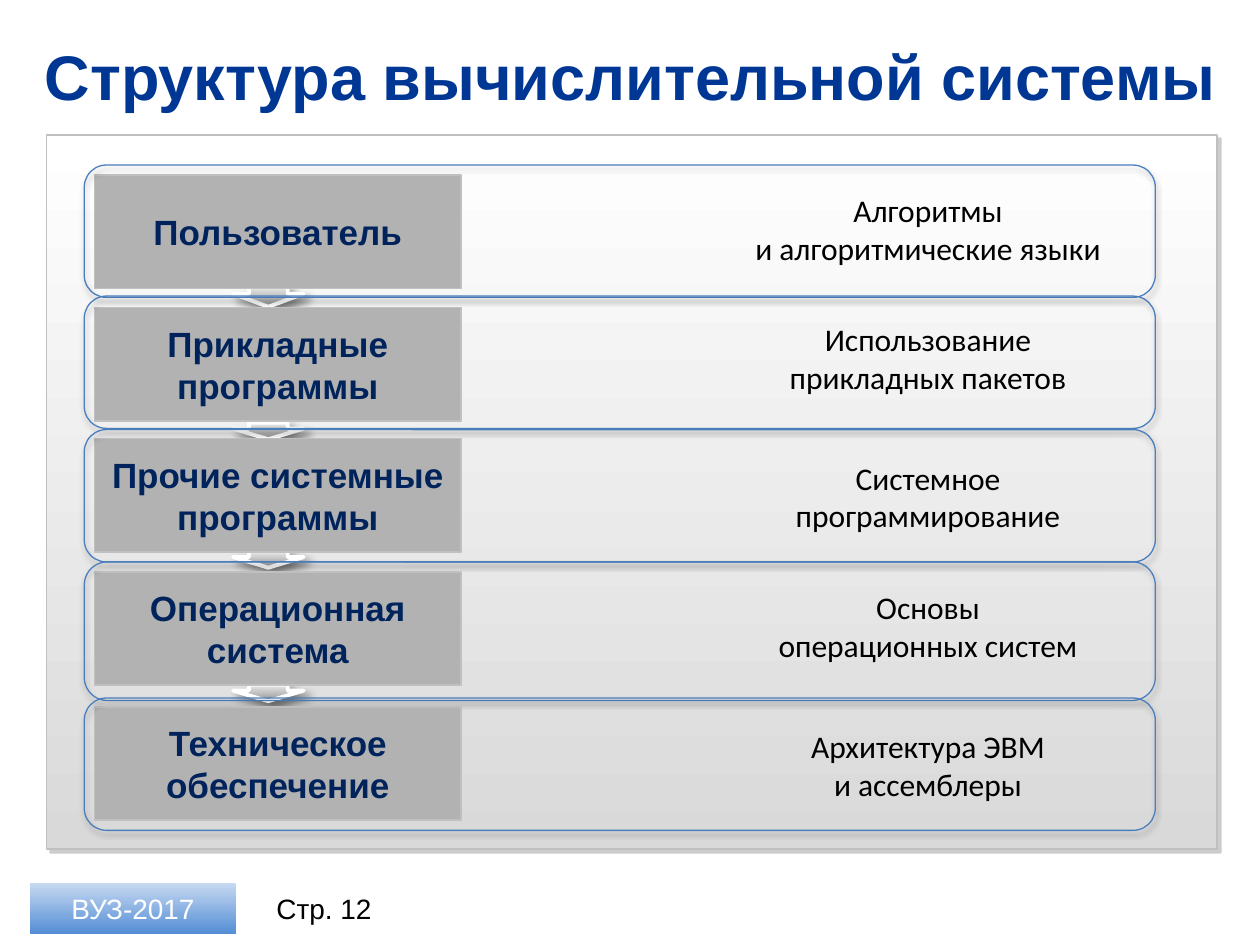
from lxml import etree
from pptx import Presentation
from pptx.dml.color import RGBColor
from pptx.enum import shapes, text
from pptx.oxml import ns
from pptx.util import Pt

WHITE = RGBColor(0xFF, 0xFF, 0xFF)
BLACK = RGBColor(0, 0, 0)
TITLE_BLUE = RGBColor(0x00, 0x37, 0x94)
NAVY = RGBColor(0x00, 0x23, 0x5C)
FRAME_BLUE = RGBColor(0x4B, 0x7E, 0xBC)
BADGE_DARK = RGBColor(0x55, 0x8E, 0xD5)
BADGE_LIGHT = RGBColor(0xC6, 0xD9, 0xF1)
BOX_GRAY = RGBColor(0xB2, 0xB2, 0xB2)
EDGE_GRAY = RGBColor(0xC0, 0xC0, 0xC0)
PANEL_GRAY = RGBColor(0xD9, 0xD9, 0xD9)
SHADOW_GRAY = RGBColor(0x80, 0x80, 0x80)
ARROW_LIGHT = RGBColor(0xEA, 0xEA, 0xEA)
ARROW_DARK = RGBColor(0x96, 0x96, 0x96)

# name, caption, then tops of the frame, name box and caption, frame height
LEVELS = [
    ("Пользователь", "Алгоритмы\nи алгоритмические языки",
     94.3, 100.1, 105.8, 75.6),
    ("Прикладные программы", "Использование\nприкладных пакетов",
     169.2, 175.7, 179.3, 75.6),
    ("Прочие системные программы", "Системное\nпрограммирование",
     245.5, 250.6, 258.5, 75.6),
    ("Операционная система", "Основы\nоперационных систем",
     321.1, 326.9, 332.6, 79.2),
    ("Техническое обеспечение", "Архитектура ЭВМ\nи ассемблеры",
     398.9, 403.9, 411.8, 75.6),
]
# top and height of the arrows between levels
ARROWS = [(163.8, 11.5), (241.6, 9.4), (315, 9.4), (391.3, 9.4)]


def write(shape, words, size, color, font="Arial", bold=False, inset=0,
          anchor=text.MSO_ANCHOR.MIDDLE):
    frame = shape.text_frame
    frame.word_wrap = True
    frame.vertical_anchor = anchor
    frame.margin_left = frame.margin_right = Pt(2 * inset)
    frame.margin_top = frame.margin_bottom = Pt(inset)
    para = frame.paragraphs[0]
    para.text = words
    para.alignment = text.PP_ALIGN.CENTER
    for span in para.runs:
        span.font.name = font
        span.font.size = Pt(size)
        span.font.bold = bold
        span.font.color.rgb = color


def add_text(page, bounds, words, **style):
    box = page.shapes.add_textbox(*map(Pt, bounds))
    write(box, words, **style)


def add_shadow(shape, color, alpha, blur, distance, angle):
    """Cast an outer shadow: alpha in percent, angle in clockwise degrees."""
    effects = shape._element.spPr.find(ns.qn("a:effectLst"))
    shadow = etree.SubElement(
        effects, ns.qn("a:outerShdw"), blurRad=str(Pt(blur)),
        dist=str(Pt(distance)), dir=str(angle * 60000),
        algn="ctr", rotWithShape="0")
    tint = etree.SubElement(shadow, ns.qn("a:srgbClr"), val=str(color))
    etree.SubElement(tint, ns.qn("a:alpha"), val=str(alpha * 1000))


def add_box(page, kind, bounds, fill=None, line=None, width=1, shadow=None):
    """Add a shape; a pair of fill colours runs from top to bottom."""
    shape = page.shapes.add_shape(kind, *map(Pt, bounds))
    shape.shadow.inherit = False
    if fill is None:
        shape.fill.background()
    elif isinstance(fill, RGBColor):
        shape.fill.solid()
        shape.fill.fore_color.rgb = fill
    else:
        shape.fill.gradient()
        shape.fill.gradient_angle = 270
        for stop, color in zip(shape.fill.gradient_stops, fill):
            stop.color.rgb = color
    if line is None:
        shape.line.fill.background()
    else:
        shape.line.color.rgb = line
        shape.line.width = Pt(width)
    if shadow:
        add_shadow(shape, *shadow)
    return shape


def add_arrow(page, top, height):
    arrow = add_box(page, shapes.MSO_SHAPE.DOWN_ARROW,
                    (133.2, top, 40.3, height),
                    fill=(ARROW_LIGHT, ARROW_DARK), line=WHITE, width=2.25,
                    shadow=(BLACK, 50, 5, 4.2, 45))
    arrow.adjustments[0] = 0.55
    arrow.adjustments[1] = 0.64


def add_level(page, name, caption, frame_top, box_top, caption_top, height):
    box = add_box(page, shapes.MSO_SHAPE.RECTANGLE, (54, box_top, 209.5, 64.8),
                  fill=BOX_GRAY, line=EDGE_GRAY)
    write(box, name, size=20, color=NAVY, bold=True)
    add_box(page, shapes.MSO_SHAPE.ROUNDED_RECTANGLE,
            (48.2, frame_top, 612, height), line=FRAME_BLUE, width=0.75,
            shadow=(BLACK, 35, 3.1, 1.8, 90))
    add_text(page, (416.9, caption_top, 226.8, 51.1), caption, size=18,
             color=BLACK, font="Calibri", inset=3.6,
             anchor=text.MSO_ANCHOR.TOP)


def add_footer(page):
    badge = add_box(page, shapes.MSO_SHAPE.RECTANGLE,
                    (17.3, 504.7, 117.4, 28.8),
                    fill=(BADGE_LIGHT, BADGE_DARK))
    write(badge, "ВУЗ-2017", size=16, color=WHITE)
    add_text(page, (146.2, 504.7, 77.8, 28.8), "Стр. 12", size=16, color=BLACK)


def main():
    deck = Presentation()
    deck.slide_width, deck.slide_height = Pt(720), Pt(540)
    page = deck.slides.add_slide(deck.slide_layouts[6])
    add_text(page, (14.4, 18.7, 691.9, 49), "Структура вычислительной системы",
             size=36, color=TITLE_BLUE, bold=True)
    add_box(page, shapes.MSO_SHAPE.RECTANGLE, (26.6, 77, 668.9, 408.2),
            fill=(WHITE, PANEL_GRAY), line=EDGE_GRAY,
            shadow=(SHADOW_GRAY, 40, 0, 3, 45))
    for top, height in ARROWS:
        add_arrow(page, top, height)
    for level in LEVELS:
        add_level(page, *level)
    add_footer(page)
    deck.save("out.pptx")


if __name__ == "__main__":
    main()
